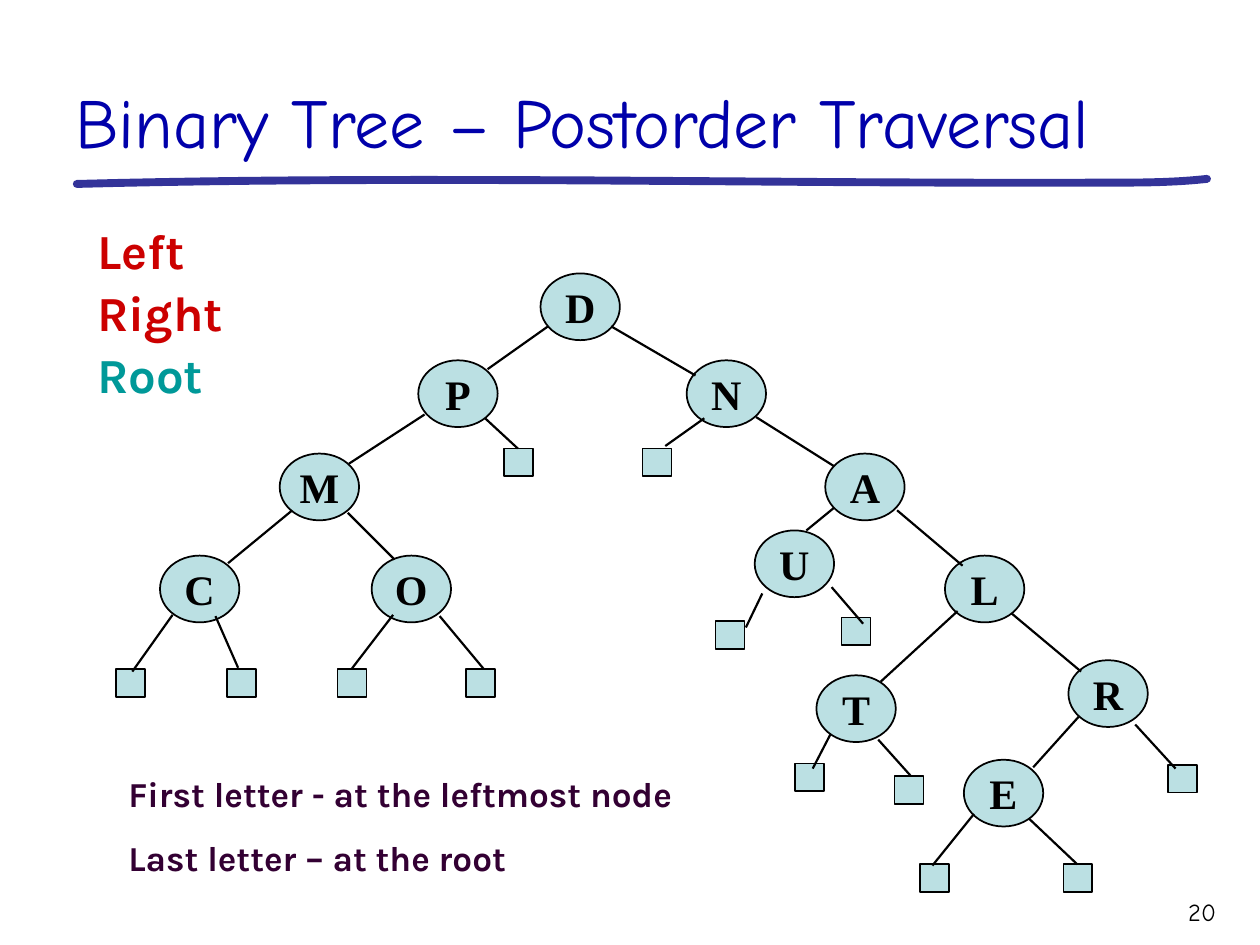
from dataclasses import dataclass
from typing import NamedTuple

from lxml import etree
from pptx import Presentation
from pptx import util as u
from pptx.dml.color import RGBColor
from pptx.enum import shapes, text
from pptx.oxml import ns

PX = u.Inches(1) // 100


@dataclass(frozen=True)
class Theme:
    title: str = "0000AA"
    rule: str = "333399"
    node: str = "BBE0E3"
    ink: str = "000000"
    child: str = "CC0000"
    root: str = "009999"
    note: str = "330033"
    title_font: str = "Comic Neue"
    body_font: str = "Karla"
    node_font: str = "Times New Roman"
    title_size: int = 40
    order_size: int = 28
    node_size: int = 24
    note_size: int = 20
    number_size: int = 14


class Box(NamedTuple):
    left: int
    top: int
    width: int
    height: int


class Node(NamedTuple):
    letter: str
    left: int
    top: int


class Leaf(NamedTuple):
    left: int
    top: int


class Edge(NamedTuple):
    start_x: int
    start_y: int
    end_x: int
    end_y: int


class Line(NamedTuple):
    words: str
    color: str


THEME = Theme()
NODE_SIZE = (63, 53)
LEAF_SIZE = (23, 22)

NODES = [
    Node("D", 429, 217), Node("P", 332, 286), Node("N", 545, 286),
    Node("M", 222, 360), Node("A", 655, 360), Node("C", 127, 441),
    Node("O", 295, 441), Node("U", 599, 421), Node("L", 750, 441),
    Node("T", 648, 536), Node("R", 848, 524), Node("E", 765, 603),
]
LEAVES = [
    Leaf(92, 531), Leaf(180, 531), Leaf(268, 531), Leaf(370, 531),
    Leaf(400, 356), Leaf(510, 356), Leaf(568, 493), Leaf(668, 490),
    Leaf(631, 606), Leaf(710, 616), Leaf(730, 686), Leaf(844, 686),
    Leaf(927, 607),
]
EDGES = [
    Edge(435, 259, 387, 293), Edge(485, 259, 552, 298),
    Edge(337, 329, 277, 368), Edge(385, 332, 411, 356),
    Edge(559, 332, 528, 354), Edge(600, 331, 662, 370),
    Edge(232, 405, 181, 447), Edge(276, 407, 313, 444),
    Edge(662, 403, 640, 421), Edge(712, 405, 764, 449),
    Edge(137, 488, 105, 533), Edge(171, 489, 189, 530),
    Edge(312, 488, 279, 531), Edge(349, 489, 384, 531),
    Edge(605, 471, 592, 498), Edge(660, 466, 685, 495),
    Edge(760, 485, 699, 541), Edge(803, 487, 858, 533),
    Edge(659, 583, 645, 610), Edge(697, 587, 723, 616),
    Edge(856, 569, 820, 609), Edge(901, 575, 933, 610),
    Edge(773, 646, 740, 687), Edge(817, 650, 855, 686),
]
RULE_CURVES = [
    ((61, 146), (333, 139), (605, 146), (876, 145)),
    ((876, 145), (904, 145), (931, 145), (958, 142)),
]


def rgb(color: str) -> RGBColor:
    return RGBColor.from_string(color)


def place(shape, box: Box) -> None:
    shape.left, shape.top, shape.width, shape.height = (value * PX for value in box)


def style_paragraph(paragraph, font: str, size: int, color: str, bold: bool = False) -> None:
    for run in paragraph.runs:
        run.font.name = font
        run.font.size = u.Pt(size)
        run.font.bold = bold
        run.font.color.rgb = rgb(color)


def write_lines(shape, lines: list[Line], font: str, size: int, bold: bool = False,
                gap: float = 0, spacing: float = 1.0, align=text.PP_ALIGN.LEFT,
                anchor=text.MSO_ANCHOR.TOP) -> None:
    frame = shape.text_frame
    frame.word_wrap = True
    frame.auto_size = text.MSO_AUTO_SIZE.NONE
    frame.vertical_anchor = anchor
    frame.text = "\n".join(line.words for line in lines)
    for index, (paragraph, line) in enumerate(zip(frame.paragraphs, lines)):
        properties = paragraph._p.get_or_add_pPr()
        properties.set("marL", "0")
        properties.set("indent", "0")
        etree.SubElement(properties, ns.qn("a:buNone"))
        paragraph.alignment = align
        paragraph.line_spacing = spacing
        paragraph.space_before = u.Pt(gap if index else 0)
        style_paragraph(paragraph, font, size, line.color, bold)


def add_text(slide, box: Box, lines: list[Line], font: str, size: int, **options) -> None:
    shape = slide.shapes.add_textbox(*(value * PX for value in box))
    write_lines(shape, lines, font, size, **options)


def add_tree_shape(slide, kind, box: Box):
    shape = slide.shapes.add_shape(kind, *(value * PX for value in box))
    shape.shadow.inherit = False
    shape.fill.solid()
    shape.fill.fore_color.rgb = rgb(THEME.node)
    shape.line.color.rgb = rgb(THEME.ink)
    shape.line.width = u.Pt(1)
    return shape


def add_node(slide, node: Node) -> None:
    shape = add_tree_shape(slide, shapes.MSO_SHAPE.OVAL, Box(node.left, node.top, *NODE_SIZE))
    frame = shape.text_frame
    frame.text = node.letter
    frame.word_wrap = False
    frame.vertical_anchor = text.MSO_ANCHOR.MIDDLE
    paragraph = frame.paragraphs[0]
    paragraph.alignment = text.PP_ALIGN.CENTER
    style_paragraph(paragraph, THEME.node_font, THEME.node_size, THEME.ink, bold=True)


def add_edge(slide, edge: Edge) -> None:
    connector = slide.shapes.add_connector(
        shapes.MSO_CONNECTOR.STRAIGHT, *(value * PX for value in edge))
    connector.line.color.rgb = rgb(THEME.ink)
    connector.line.width = u.Pt(1.25)
    etree.SubElement(connector._element.spPr, ns.qn("a:effectLst"))


def curve_points(curve, steps: int = 24) -> list[tuple[float, float]]:
    weights = [((1 - t) ** 3, 3 * t * (1 - t) ** 2, 3 * t * t * (1 - t), t ** 3)
               for t in (step / steps for step in range(steps + 1))]
    return [tuple(sum(w * point[axis] for w, point in zip(row, curve)) for axis in (0, 1))
            for row in weights]


def add_title_rule(slide) -> None:
    points = [(x * PX, y * PX) for curve in RULE_CURVES for x, y in curve_points(curve)]
    builder = slide.shapes.build_freeform(*points[0])
    builder.add_line_segments(points[1:], close=False)
    shape = builder.convert_to_shape()
    shape.shadow.inherit = False
    shape.fill.background()
    shape.line.color.rgb = rgb(THEME.rule)
    shape.line.width = u.Pt(4.5)
    outline = shape.line._get_or_add_ln()
    outline.set("cap", "rnd")
    etree.SubElement(outline, ns.qn("a:round"))


def main() -> None:
    presentation = Presentation()
    presentation.slide_width, presentation.slide_height = 1000 * PX, 750 * PX
    slide = presentation.slides.add_slide(presentation.slide_layouts[1])
    add_title_rule(slide)
    title, order = slide.shapes.title, slide.placeholders[1]
    place(title, Box(50, 17, 925, 117))
    write_lines(title, [Line("Binary Tree – Postorder Traversal", THEME.title)],
                THEME.title_font, THEME.title_size, anchor=text.MSO_ANCHOR.BOTTOM)
    place(order, Box(67, 175, 218, 151))
    write_lines(order, [Line("Left", THEME.child), Line("Right", THEME.child),
                        Line("Root", THEME.root)],
                THEME.body_font, THEME.order_size, bold=True, gap=5.2, spacing=0.9)
    for node in NODES:
        add_node(slide, node)
    for leaf in LEAVES:
        add_tree_shape(slide, shapes.MSO_SHAPE.RECTANGLE, Box(*leaf, *LEAF_SIZE))
    for edge in EDGES:
        add_edge(slide, edge)
    add_text(slide, Box(92, 608, 508, 94),
             [Line("First letter - at the leftmost node", THEME.note),
              Line("Last letter – at the root", THEME.note)],
             THEME.body_font, THEME.note_size, bold=True, gap=12.5)
    add_text(slide, Box(875, 707, 100, 35), [Line("20", THEME.ink)],
             THEME.title_font, THEME.number_size, align=text.PP_ALIGN.RIGHT)
    presentation.save("out.pptx")


if __name__ == "__main__":
    main()
